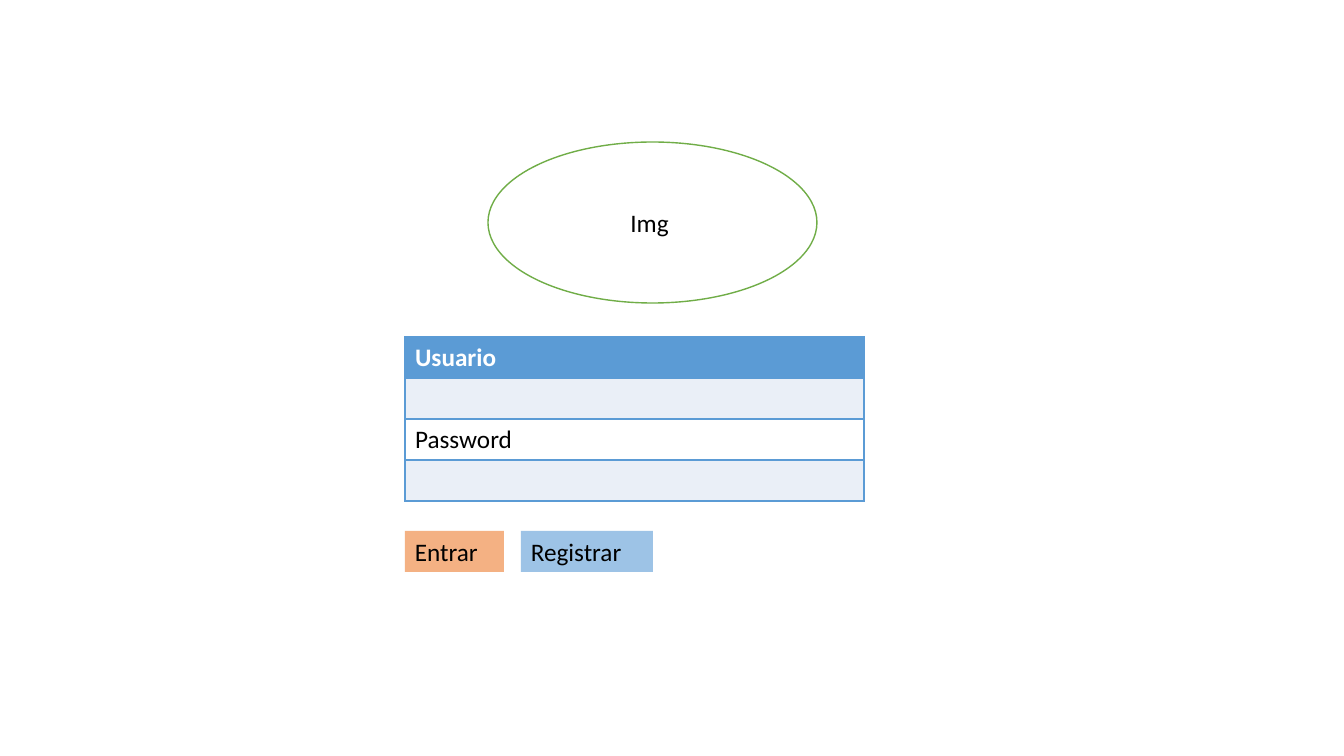
from lxml import etree
from pptx import Presentation
from pptx.dml.color import RGBColor
from pptx.enum.shapes import MSO_SHAPE
from pptx.enum.text import MSO_ANCHOR, MSO_AUTO_SIZE, PP_ALIGN
from pptx.oxml.ns import qn
from pptx.util import Pt

PX = 914400 / 100.8
OVAL, RECT = MSO_SHAPE.OVAL, MSO_SHAPE.RECTANGLE
MIDDLE, TOP = MSO_ANCHOR.MIDDLE, MSO_ANCHOR.TOP
CENTER, LEFT = PP_ALIGN.CENTER, PP_ALIGN.LEFT
GROW = MSO_AUTO_SIZE.SHAPE_TO_FIT_TEXT
rgb = RGBColor.from_string


def px(*lengths):
    return [round(n * PX) for n in lengths]


def style_cell(cell, fill, border, bottom=1):
    cell.fill.solid()
    cell.fill.fore_color.rgb = rgb(fill)
    tcPr = cell._tc.get_or_add_tcPr()
    for i, (side, width) in enumerate(zip("LRTB", (1, 1, 1, bottom))):
        ln = etree.Element(qn("a:ln" + side), w=str(Pt(width)))
        solid = etree.SubElement(ln, qn("a:solidFill"))
        etree.SubElement(solid, qn("a:srgbClr"), val=border)
        tcPr.insert(i, ln)  # borders come before the fill


prs = Presentation()
prs.slide_width, prs.slide_height = px(1344, 756)
s = prs.slides.add_slide(prs.slide_layouts[6])

# White page panel
panel = s.shapes.add_table(1, 1, *px(224, 80, 896, 605)).table
style_cell(panel.cell(0, 0), "FFFFFF", "FFFFFF", bottom=3)

# Login form
form = s.shapes.add_table(4, 1, *px(405, 337, 459, 164)).table
rows = [("Usuario", "5B9BD5", "FFFFFF"), ("", "EAEFF7", "000000"),
        ("Password", "FFFFFF", "000000"), ("", "EAEFF7", "000000")]
for i, (text, fill, color) in enumerate(rows):
    cell = form.cell(i, 0)
    style_cell(cell, fill, "5B9BD5")
    p = cell.text_frame.paragraphs[0]
    p.text = text
    p.font.size = Pt(18)
    for r in p.runs:
        r.font.name, r.font.size, r.font.bold = "Calibri", Pt(18), i == 0
        r.font.color.rgb = rgb(color)

# Image placeholder and buttons
shapes = [
    (OVAL, (488, 142, 329, 161), "Img ", "FFFFFF", "70AD47"),
    (RECT, (405, 531, 99, 41), "Entrar", "F4B183", None),
    (RECT, (521, 531, 132, 41), "Registrar", "9DC3E6", None),
]
for kind, box, text, fill, line in shapes:
    sp = s.shapes.add_shape(kind, *px(*box))
    sp.shadow.inherit = False
    sp.fill.solid()
    sp.fill.fore_color.rgb = rgb(fill)
    if line:
        sp.line.color.rgb = rgb(line)
        sp.line.width = Pt(1)
    else:
        sp.line.fill.background()
    tf = sp.text_frame
    tf.text = text
    tf.word_wrap = True
    tf.vertical_anchor = MIDDLE if kind == OVAL else TOP
    if kind == RECT:
        tf.auto_size = GROW
    p = tf.paragraphs[0]
    p.alignment = CENTER if kind == OVAL else LEFT
    r = p.runs[0]
    r.font.name, r.font.size = "Calibri", Pt(18)
    r.font.color.rgb = rgb("000000")

prs.save("out.pptx")
